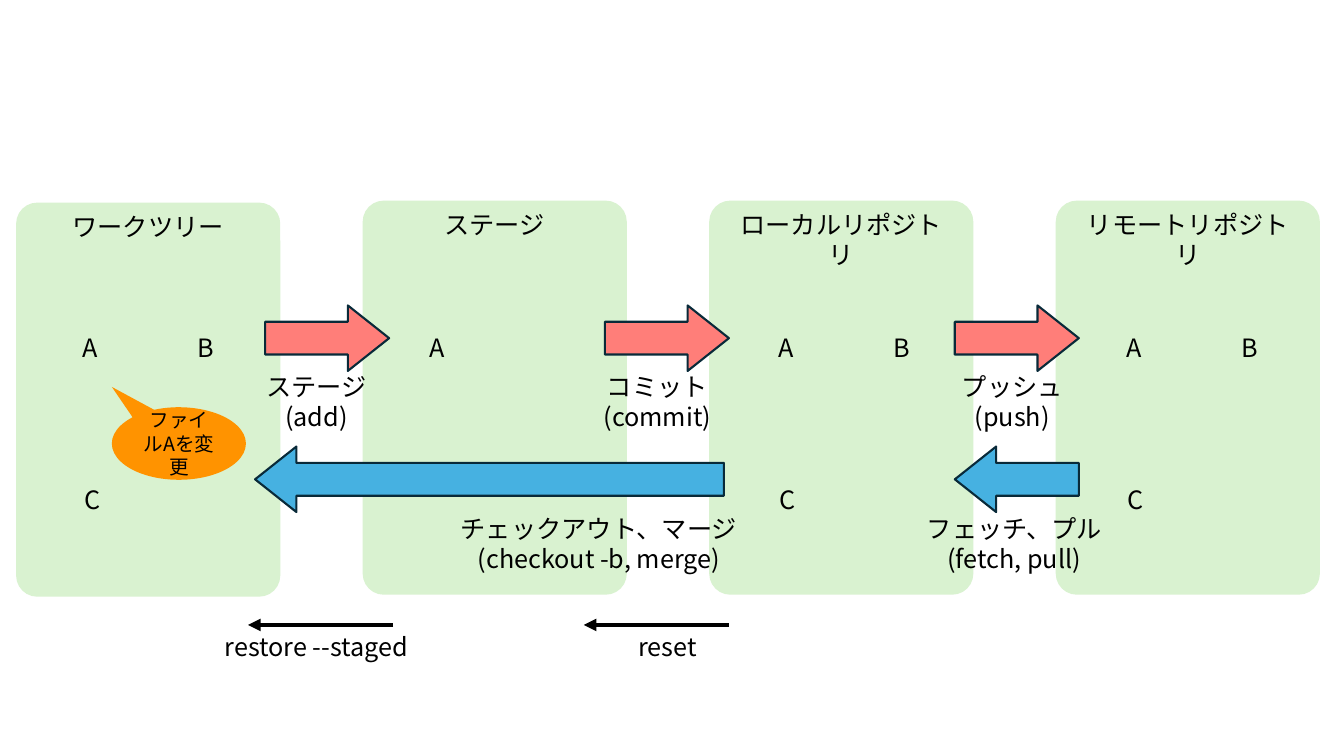
from lxml import etree
from pptx import Presentation
from pptx.dml.color import RGBColor
from pptx.enum.shapes import MSO_CONNECTOR, MSO_SHAPE
from pptx.enum.text import MSO_ANCHOR, PP_ALIGN
from pptx.oxml.ns import qn
from pptx.util import Inches, Pt

PANEL = MSO_SHAPE.ROUNDED_RECTANGLE
ARROW = MSO_SHAPE.RIGHT_ARROW
CALLOUT = MSO_SHAPE.OVAL_CALLOUT
STRAIGHT = MSO_CONNECTOR.STRAIGHT
CENTER = PP_ALIGN.CENTER
TOP, MIDDLE = MSO_ANCHOR.TOP, MSO_ANCHOR.MIDDLE


def rgb(value):
    return RGBColor.from_string(value)


class Board:
    """Draws styled elements on a slide, on a grid of tenth-inch columns and rows."""

    cell = 0.1
    font = "Noto Sans CJK JP"
    ink, outline = "000000", "092A39"
    green, red, blue, orange = "D9F2D0", "FF7E79", "46B1E1", "FF9300"

    def __init__(self, prs):
        self.s = prs.slides.add_slide(prs.slide_layouts[6])

    def grid(self, *cells):
        return [Inches(n * self.cell) for n in cells]

    def fill_text(self, tf, lines, size, anchor):
        tf.word_wrap = True
        tf.vertical_anchor = anchor
        for i, line in enumerate(lines):
            p = tf.paragraphs[0] if i == 0 else tf.add_paragraph()
            p.alignment = CENTER
            r = p.add_run()
            r.text = line
            r.font.size = Pt(size)
            r.font.color.rgb = rgb(self.ink)
            r.font.name = self.font
            etree.SubElement(r._r.get_or_add_rPr(), qn("a:ea"), typeface=self.font)

    def shape(self, kind, col, row, cols, rows, fill, adjustments):
        sp = self.s.shapes.add_shape(kind, *self.grid(col, row, cols, rows))
        sp.shadow.inherit = False
        sp.fill.solid()
        sp.fill.fore_color.rgb = rgb(fill)
        sp.line.fill.background()
        for i, value in enumerate(adjustments):
            sp.adjustments[i] = value
        return sp

    def text(self, col, row, cols, rows, *lines):
        sp = self.s.shapes.add_textbox(*self.grid(col, row, cols, rows))
        self.fill_text(sp.text_frame, lines, 18, TOP)

    def label(self, col, row, *lines):
        self.text(col, row, 23.6, 4, *lines)

    def panel(self, col, row, title):
        self.shape(PANEL, col, row, 26.2, 39.1, self.green, [0.08])
        self.label(col + 1.3, row + 0.35, title)

    def files(self, col, names):
        for name in names:
            right, down = {"A": (0, 0), "B": (11.5, 0), "C": (0.2, 15.1)}[name]
            self.text(col + right, 32.5 + down, 8.1, 3.9, name)

    def callout(self, col, row, text):
        sp = self.shape(CALLOUT, col, row, 13.3, 7.2, self.orange, [-0.5, -0.78])
        self.fill_text(sp.text_frame, [text], 14, MIDDLE)

    def arrow(self, col, row, cols, fill, rotation=0):
        sp = self.shape(ARROW, col, row, cols, 6.5, fill, [0.5, 0.63])
        sp.line.color.rgb = rgb(self.outline)
        sp.line.width = Pt(1.5)
        sp.rotation = rotation

    def undo(self, col, row):
        ends = self.grid(col + 14.4, row, col, row)
        cx = self.s.shapes.add_connector(STRAIGHT, *ends)
        cx.line.color.rgb = rgb(self.ink)
        cx.line.width = Pt(3)
        pr = cx._element.spPr
        etree.SubElement(pr.find(qn("a:ln")), qn("a:tailEnd"), type="triangle")
        etree.SubElement(pr, qn("a:effectLst"))


def main():
    prs = Presentation()
    prs.slide_width, prs.slide_height = Inches(13.33), Inches(7.5)
    board = Board(prs)

    areas = [
        (20.1, "ワークツリー", 4.9, "ABC"),
        (19.9, "ステージ", 39.3, "A"),
        (19.9, "ローカルリポジトリ", 73.9, "ABC"),
        (19.9, "リモートリポジトリ", 108.4, "ABC"),
    ]
    for i, (row, title, file_col, names) in enumerate(areas):
        board.panel(1.6 + 34.37 * i, row, title)
        board.files(file_col, names)
    board.callout(11.1, 40.4, "ファイルAを変更")

    forward = [
        (26.3, 19.6, "ステージ", "(add)"),
        (60, 53.4, "コミット", "(commit)"),
        (94.7, 88.6, "プッシュ", "(push)"),
    ]
    for col, label_col, *lines in forward:
        board.arrow(col, 30.3, 12.3, board.red)
        board.label(label_col, 36.3, *lines)

    for col, label_col, command in [
        (24.6, 19.6, "restore --staged"),
        (57.9, 54.4, "reset"),
    ]:
        board.undo(col, 62)
        board.label(label_col, 62.1, command)

    backward = [
        (94.7, 12.3, 88.8, 23.6, "フェッチ、プル", "(fetch, pull)"),
        (25.3, 46.5, 36.5, 45.8, "チェックアウト、マージ", "(checkout -b, merge)"),
    ]
    for col, cols, label_col, label_cols, *lines in backward:
        board.arrow(col, 44.3, cols, board.blue, 180)
        board.text(label_col, 50.4, label_cols, 7.8, *lines)

    prs.save("out.pptx")


if __name__ == "__main__":
    main()
